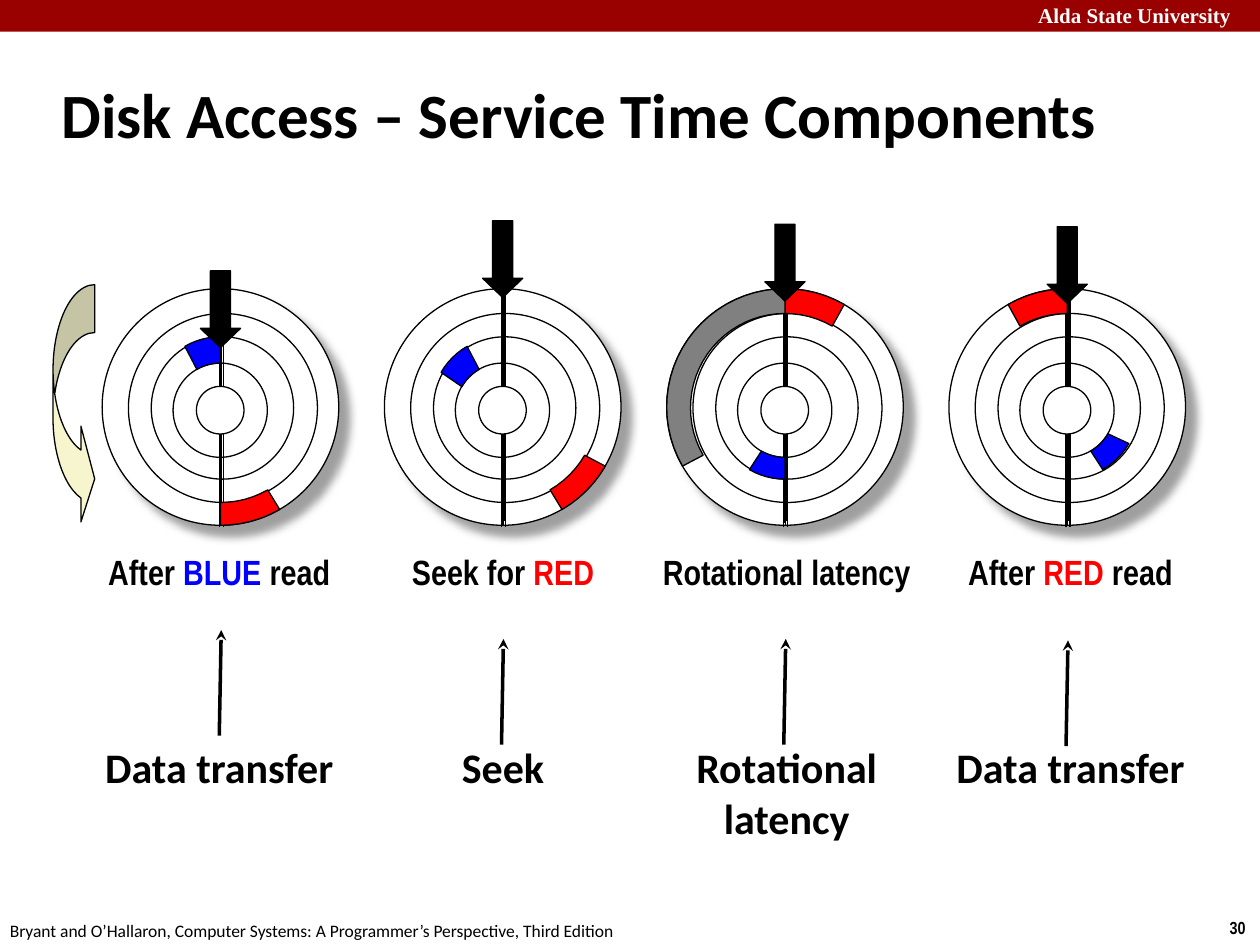
import math

import lxml.etree
import pptx
import pptx.dml.color
import pptx.enum.shapes
import pptx.enum.text
import pptx.oxml.ns
import pptx.util

Cm = pptx.util.Cm
Pt = pptx.util.Pt
SHAPE = pptx.enum.shapes.MSO_SHAPE
ALIGN = pptx.enum.text.PP_ALIGN
RGB = pptx.dml.color.RGBColor

BLACK = RGB(0, 0, 0)
WHITE = RGB(255, 255, 255)
RED = RGB(255, 0, 0)
BLUE = RGB(0, 0, 255)
GRAY = RGB(128, 128, 128)
CREAM = RGB(247, 245, 205)
MAROON = RGB(153, 0, 0)

PITCH = 5.69
DISK = 4.77
TRACKS = [(0, 0, DISK), (0.53, 0.5, 3.81), (0.99, 0.97, 2.87), (1.43, 1.5, 1.9)]
HUB = (1.9, 1.97, 0.96)
BARS = [(2.39, 0), (2.36, 0.03), (2.37, -0.05), (2.41, -0.08), (2.44, 0.03)]
SECTORS = {RED: (0, 1), GRAY: (0, 1), BLUE: (2, 3)}

STAGES = [
    {"head": 5.46, "parts": [(BLUE, 330, 360), (RED, 150, 180)],
     "note": [("After ", BLACK), ("BLUE ", BLUE), ("read", BLACK)], "note_w": 5.92,
     "label": ["Data transfer"], "label_w": 5.16, "foot": 14.83},
    {"head": 4.45, "parts": [(RED, 120, 150), (BLUE, 300, 330)],
     "note": [("Seek for ", BLACK), ("RED", RED)], "note_w": 5.08,
     "label": ["Seek"], "label_w": 2.3, "foot": 15.01},
    {"head": 4.52, "parts": [(RED, 0, 30), (BLUE, 180, 210), (GRAY, 240, 360)],
     "note": [("Rotational latency", BLACK)], "note_w": 6.78,
     "label": ["Rotational", "latency"], "label_w": 4.6, "foot": 15.01},
    {"head": 4.57, "parts": [(RED, 330, 360), (BLUE, 120, 150)],
     "note": [("After ", BLACK), ("RED", RED), (" read", BLACK)], "note_w": 5.92,
     "label": ["Data transfer"], "label_w": 5.16, "foot": 15.04},
]


def paint(shape, fill, line=BLACK):
    """Give a shape a flat fill and a thin line, or no line for None."""
    shape.shadow.inherit = False
    shape.fill.solid()
    shape.fill.fore_color.rgb = fill
    if line is None:
        shape.line.fill.background()
    else:
        shape.line.color.rgb = line
        shape.line.width = Pt(0.75)
    return shape


def add_form(shapes, kind, box, fill, line=BLACK):
    """Add a preset shape in a box given in centimetres."""
    return paint(shapes.add_shape(kind, *map(Cm, box)), fill, line)


def add_line(shapes, start, end, width):
    """Add a straight black line without a shadow."""
    line = shapes.add_connector(
        pptx.enum.shapes.MSO_CONNECTOR.STRAIGHT, *map(Cm, start + end))
    line.line.color.rgb = BLACK
    line.line.width = Pt(width)
    props = line._element.spPr
    lxml.etree.SubElement(props, pptx.oxml.ns.qn("a:effectLst"))
    return line


def style(para, name, size, bold, color=None, align=ALIGN.LEFT):
    """Set the font and alignment of a paragraph."""
    para.alignment = align
    para.font.name = name
    para.font.size = Pt(size)
    para.font.bold = bold
    if color is not None:
        para.font.color.rgb = color


def add_text(shapes, box, lines, name, size, bold=True, color=BLACK, align=ALIGN.LEFT):
    """Add a text box with one paragraph for each line of text."""
    frame = shapes.add_textbox(*map(Cm, box)).text_frame
    frame.word_wrap = True
    for index, line in enumerate(lines):
        para = frame.add_paragraph() if index else frame.paragraphs[0]
        para.text = line
        style(para, name, size, bold, color, align)
    return frame


def add_shade(shape):
    """Cast a soft grey shadow to the lower right."""
    tag = pptx.oxml.ns.qn
    shape.shadow.inherit = False
    group = shape._element.spPr.find(tag("a:effectLst"))
    shade = lxml.etree.SubElement(
        group, tag("a:outerShdw"), blurRad=str(Pt(5)), dist=str(Pt(8.5)),
        dir="2700000", algn="ctr", rotWithShape="0")
    tint = lxml.etree.SubElement(shade, tag("a:srgbClr"), val=str(GRAY))
    lxml.etree.SubElement(tint, tag("a:alpha"), val="74000")


def trace_arc(track, left, top, first, last):
    """List points on a track, with angles clockwise from the top."""
    across, down, size = track
    radius = size / 2
    steps = max(6, abs(last - first) // 5)
    points = []
    for step in range(steps + 1):
        angle = math.radians(first + (last - first) * step / steps)
        points.append((Cm(left + DISK / 2 + radius * math.sin(angle)),
                       Cm(top + down + radius - radius * math.cos(angle))))
    return points


def add_sector(shapes, left, top, color, first, last):
    """Fill the part of a track that lies between two angles."""
    outer, inner = (TRACKS[index] for index in SECTORS[color])
    points = trace_arc(outer, left, top, first, last)
    points += trace_arc(inner, left, top, last, first)
    form = shapes.build_freeform(*points[0])
    form.add_line_segments(points[1:], close=True)
    paint(form.convert_to_shape(), color)


def add_disk(slide, left, top, stage):
    """Draw a disk with its tracks, sectors and head."""
    shapes = slide.shapes.add_group_shape().shapes
    rings = [add_form(shapes, SHAPE.OVAL, (left + across, top + down, size, size), WHITE)
             for across, down, size in TRACKS]
    add_shade(rings[0])
    for across, down in BARS:
        add_line(shapes, (left + across, top + down),
                 (left + across, top + down + DISK), 0.75)
    across, down, size = HUB
    add_form(shapes, SHAPE.OVAL, (left + across, top + down, size, size), WHITE)
    for part in stage["parts"]:
        add_sector(shapes, left, top, *part)
    head = add_form(shapes, SHAPE.DOWN_ARROW, (left + 1.98, stage["head"], 0.81, 1.55), BLACK)
    head.adjustments[1] = 0.48


def add_note(slide, mid, top, stage):
    """Write the coloured caption under a disk."""
    width = stage["note_w"]
    frame = add_text(slide.shapes, (mid - width / 2, top, width, 1.09), [""],
                     "Arial Narrow", 20, color=None, align=ALIGN.CENTER)
    for words, color in stage["note"]:
        run = frame.paragraphs[0].add_run()
        run.text = words
        run.font.color.rgb = color


def add_label(slide, mid, top, stage):
    """Write the time component with its arrow up to the caption."""
    width, lines = stage["label_w"], stage["label"]
    add_text(slide.shapes, (mid - width / 2, top, width, 0.23 + 1.04 * len(lines)),
             lines, "Calibri", 24, align=ALIGN.CENTER)


def add_stem(slide, left, foot):
    """Draw the arrow that rises from a label."""
    stem = add_line(slide.shapes, (left, foot), (left + 0.04, foot - 2.13), 2)
    lxml.etree.SubElement(stem.line._get_or_add_ln(),
                          pptx.oxml.ns.qn("a:tailEnd"), type="stealth")


def add_frame(slide, width, height):
    """Draw the top band, the source line and the page number."""
    shapes = slide.shapes
    add_form(shapes, SHAPE.RECTANGLE, (0, 0, width, 0.64), MAROON, None)
    add_text(shapes, (width - 4.72, -0.08, 4.9, 0.76), ["Alda State University"],
             "Times New Roman", 12, color=WHITE)
    add_text(shapes, (width - 0.86, height - 0.69, 0.86, 0.69), ["30"], "Arial Narrow", 10)
    source = "Bryant and O’Hallaron, Computer Systems: A Programmer’s Perspective, Third Edition"
    add_text(shapes, (-0.05, height - 0.63, 12.9, 0.69), [source], "Calibri", 10, False)


def set_title(slide, box, words):
    """Place and format the title."""
    title = slide.shapes.title
    title.left, title.top, title.width, title.height = map(Cm, box)
    frame = title.text_frame
    frame.text = words
    frame.auto_size = pptx.enum.text.MSO_AUTO_SIZE.NONE
    frame.vertical_anchor = pptx.enum.text.MSO_ANCHOR.MIDDLE
    style(frame.paragraphs[0], "Calibri", 36, True, BLACK)


def main():
    """Build the slide and save it."""
    deck = pptx.Presentation()
    deck.slide_width, deck.slide_height = Cm(25.4), Cm(19.05)
    slide = deck.slides.add_slide(deck.slide_layouts[5])
    add_frame(slide, 25.4, 19.05)
    set_title(slide, (0.99, 1.22, 22.48, 2.11), "Disk Access – Service Time Components")
    for index, stage in enumerate(STAGES):
        mid = 4.42 + 5.72 * index
        add_note(slide, mid, 10.97, stage)
        add_disk(slide, 2.06 + PITCH * index, 5.82, stage)
        add_label(slide, mid, 14.83, stage)
        add_stem(slide, 4.42 + PITCH * index, stage["foot"])
    spin = add_form(slide.shapes, SHAPE.CURVED_RIGHT_ARROW, (1.07, 5.74, 0.84, 4.88), CREAM)
    for index, value in enumerate((1.15, 2.3, 0.33)):
        spin.adjustments[index] = value
    deck.save("out.pptx")


if __name__ == "__main__":
    main()
